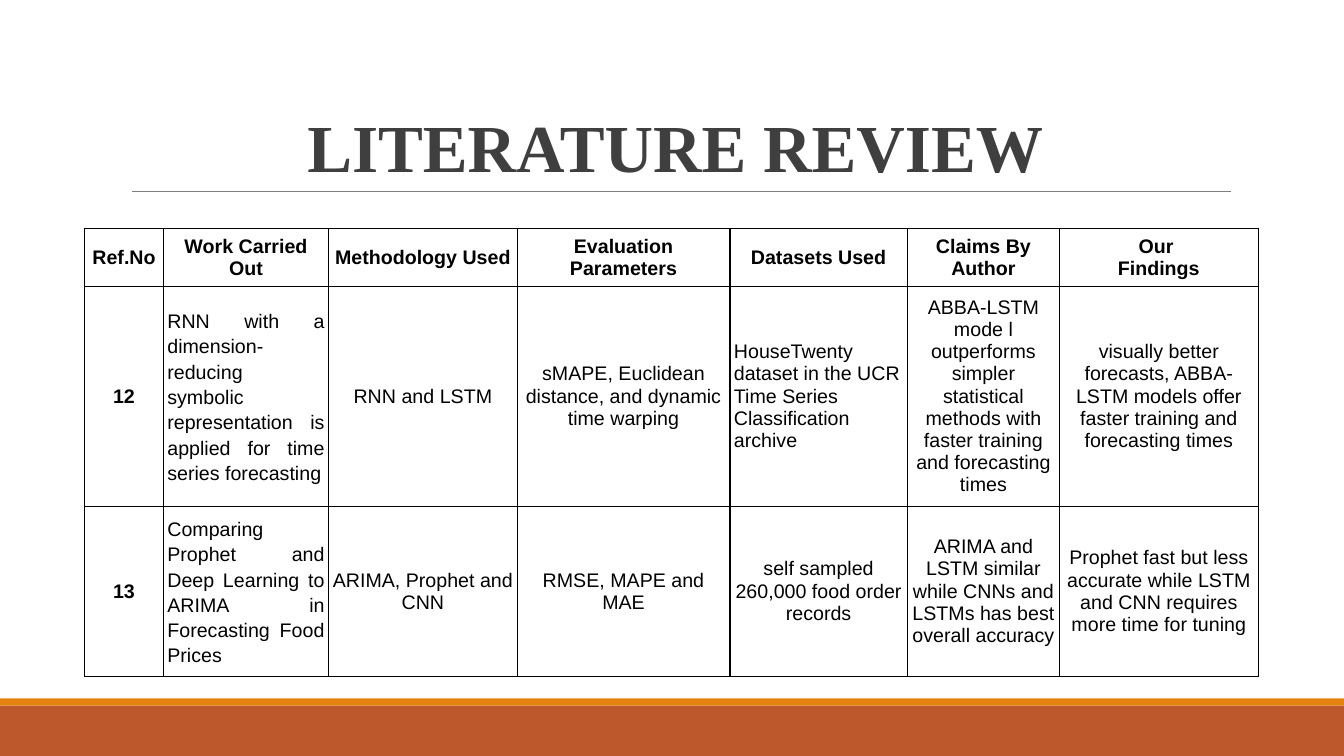
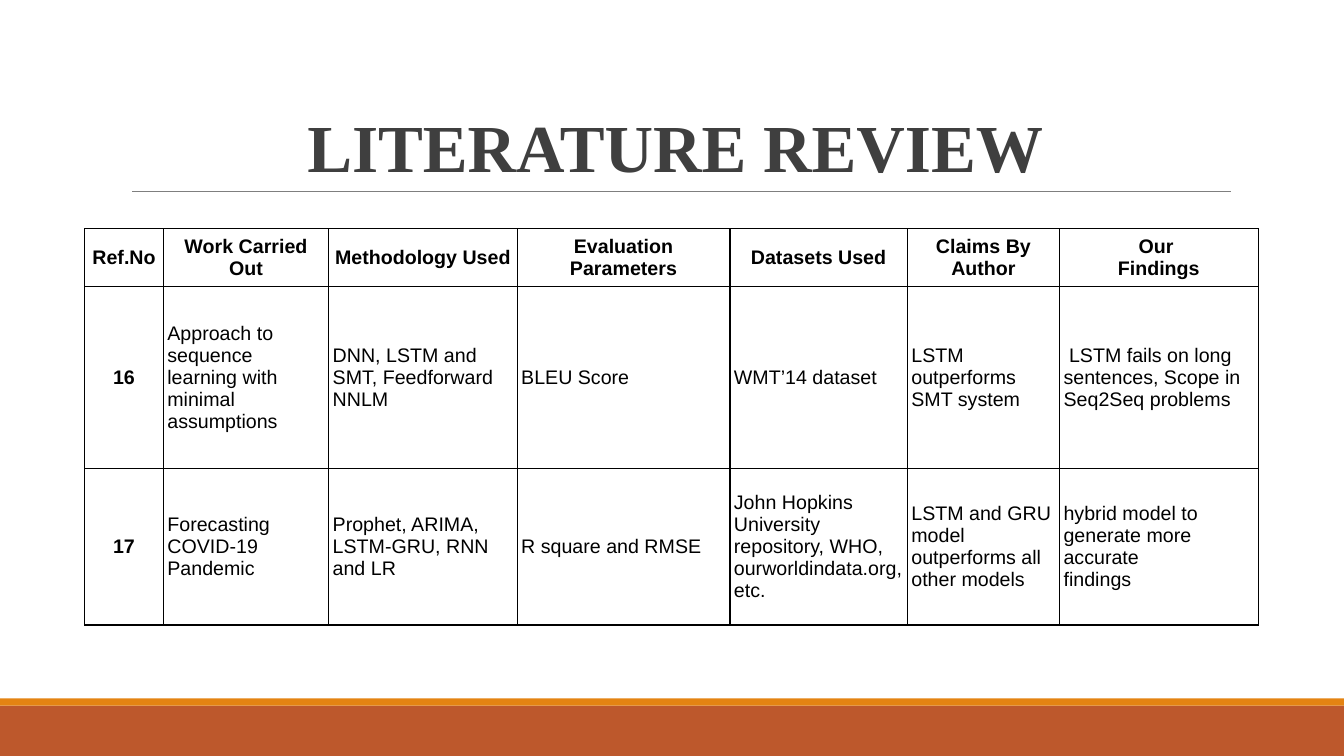
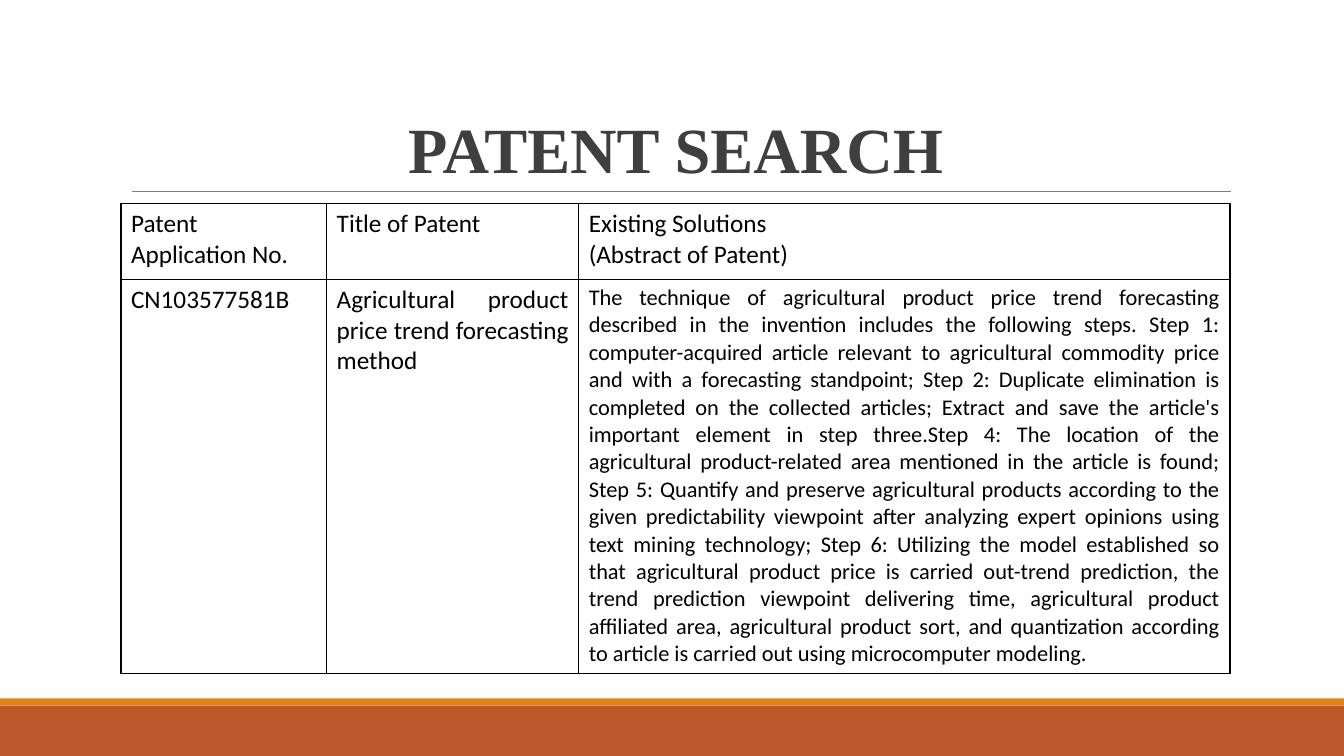
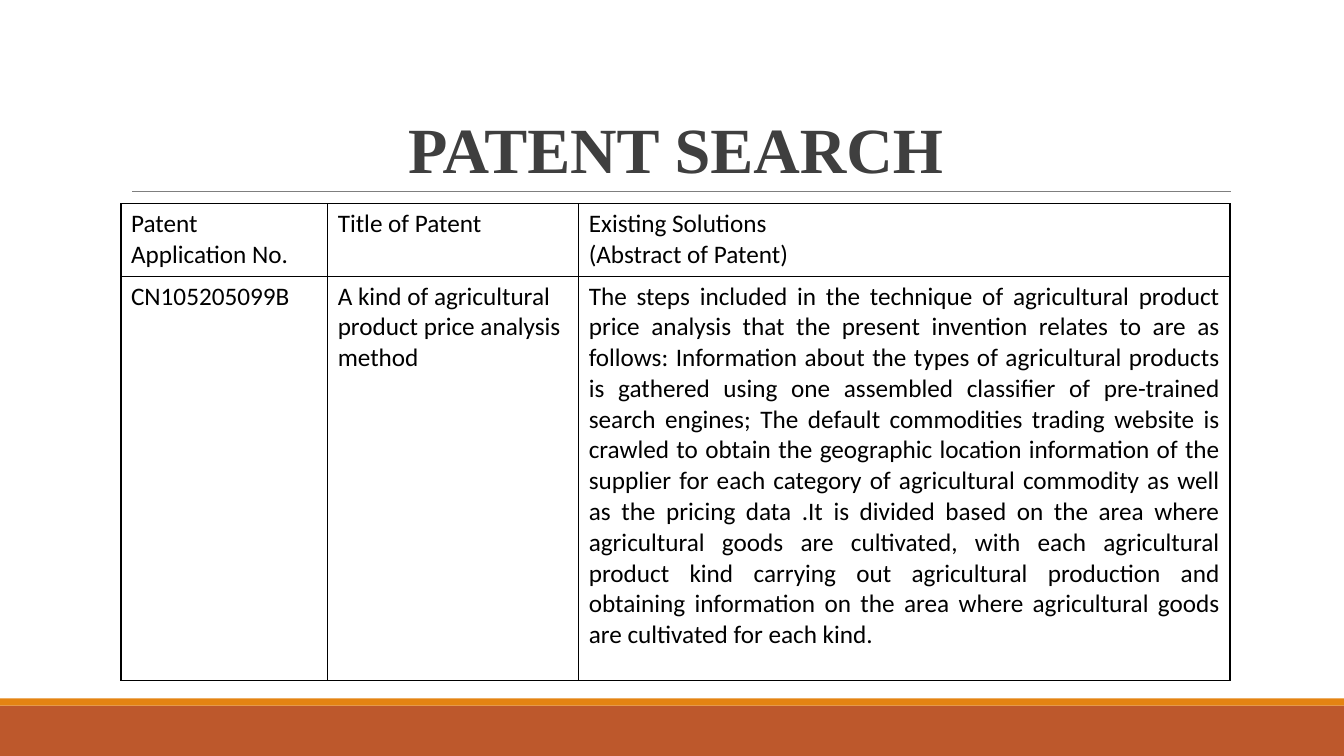
from lxml import etree
from pptx import Presentation
from pptx.dml.color import RGBColor
from pptx.enum.shapes import MSO_CONNECTOR, MSO_SHAPE
from pptx.enum.text import MSO_ANCHOR, PP_ALIGN
from pptx.oxml.ns import qn
from pptx.util import Emu, Pt

PX = 9144  # 100 px to the inch
SLIDE_W, SLIDE_H = 1333, 750
COLORS = {"footer": "BD582C", "stripe": "E48312", "rule": "7F7F7F",
          "title": "3F3F3F", "text": "000000"}
ALIGN = {"l": PP_ALIGN.LEFT, "c": PP_ALIGN.CENTER, "j": PP_ALIGN.JUSTIFY}
TOP, MIDDLE, BOTTOM = MSO_ANCHOR.TOP, MSO_ANCHOR.MIDDLE, MSO_ANCHOR.BOTTOM
RECTANGLE, STRAIGHT = MSO_SHAPE.RECTANGLE, MSO_CONNECTOR.STRAIGHT

LITERATURE = {
    "title": "LITERATURE REVIEW", "title_size": 48,
    "left": 84, "top": 227, "margins": (4, 4), "anchor": MIDDLE,
    "font": "Arial", "size": 14, "bold_labels": True, "justified_spacing": 1.15,
    "header": ["Ref.No", "Work Carried Out", "Methodology Used",
               "Evaluation Parameters", "Datasets Used", "Claims By Author",
               "Our \nFindings"],
    "header_aligns": "ccccccc",
    "cols": [78, 164, 187, 211, 176, 151, 197],
}
PATENT = {
    "title": "PATENT SEARCH", "title_size": 46,
    "left": 120, "top": 202, "margins": (10, 5), "anchor": TOP,
    "font": "Calibri", "size": 18, "bold_labels": False, "justified_spacing": 1,
    "header": ["Patent\nApplication No.", "Title of Patent",
               "Existing Solutions\n(Abstract of Patent)"],
    "header_aligns": "lll",
}
TREND_STEPS = [
    "The technique of agricultural product price trend forecasting described "
    "in the invention includes the following steps.",
    "Step 1: computer-acquired article relevant to agricultural commodity "
    "price and with a forecasting standpoint;",
    "Step 2: Duplicate elimination is completed on the collected articles;",
    "Extract and save the article's important element in step three.Step 4: "
    "The location of the agricultural product-related area mentioned in the "
    "article is found;",
    "Step 5: Quantify and preserve agricultural products according to the "
    "given predictability viewpoint after analyzing expert opinions using "
    "text mining technology;",
    "Step 6: Utilizing the model established so that agricultural product "
    "price is carried out-trend prediction, the trend prediction viewpoint "
    "delivering time, agricultural product affiliated area, agricultural "
    "product sort, and quantization according to article is carried out "
    "using microcomputer modeling.",
]

# Each body row: one alignment letter per column, then the cell texts.
SLIDES = [
    {**LITERATURE, "heights": [57, 204, 159], "body": [
        ("cjcclcc", [
            "12",
            "RNN with a dimension-reducing symbolic representation is applied "
            "for time series forecasting",
            "RNN and LSTM",
            "sMAPE, Euclidean distance, and dynamic time warping",
            "HouseTwenty dataset in the UCR Time Series Classification archive",
            "ABBA-LSTM mode l outperforms simpler statistical methods with "
            "faster training and forecasting times",
            "visually better forecasts, ABBA-LSTM models offer faster training "
            "and forecasting times"]),
        ("cjccccc", [
            "13",
            "Comparing Prophet and Deep Learning to ARIMA in Forecasting Food Prices",
            "ARIMA, Prophet and CNN",
            "RMSE, MAPE and MAE",
            "self sampled 260,000 food order records",
            "ARIMA and LSTM similar while CNNs and LSTMs has best overall accuracy",
            "Prophet fast but less accurate while LSTM and CNN requires more "
            "time for tuning"]),
    ]},
    {**LITERATURE, "heights": [57, 181, 155], "body": [
        ("cllllll", [
            "16",
            "Approach to sequence learning with minimal assumptions",
            "DNN, LSTM and SMT, Feedforward NNLM",
            "BLEU Score",
            "WMT’14 dataset",
            "LSTM outperforms SMT system",
            " LSTM fails on long sentences, Scope in Seq2Seq problems"]),
        ("cllllll", [
            "17",
            "Forecasting COVID-19 Pandemic",
            "Prophet, ARIMA, LSTM-GRU, RNN and LR",
            "R square and RMSE",
            "John Hopkins University repository, WHO, ourworldindata.org, etc.",
            "LSTM and GRU model outperforms all other models",
            "hybrid model to generate more accurate\nfindings"]),
    ]},
    {**PATENT, "cols": [204, 250, 646], "heights": [75, 391], "last_size": 16, "body": [
        ("ljj", [
            "CN103577581B",
            "Agricultural product price trend forecasting method",
            " ".join(TREND_STEPS)]),
    ]},
    {**PATENT, "cols": [205, 249, 646], "heights": [72, 401], "body": [
        ("llj", [
            "CN105205099B",
            "A kind of agricultural product price analysis method",
            "The steps included in the technique of agricultural product price "
            "analysis that the present invention relates to are as follows: "
            "Information about the types of agricultural products is gathered "
            "using one assembled classifier of pre-trained search engines; The "
            "default commodities trading website is crawled to obtain the "
            "geographic location information of the supplier for each category of "
            "agricultural commodity as well as the pricing data .It is divided "
            "based on the area where agricultural goods are cultivated, with each "
            "agricultural product kind carrying out agricultural production and "
            "obtaining information on the area where agricultural goods are "
            "cultivated for each kind."]),
    ]},
]


def px(*lengths):
    return [Emu(length * PX) for length in lengths]


def rgb(name):
    return RGBColor.from_string(COLORS[name])


def write(frame, text, *, font, size, color="text", bold=False, align="l", spacing=1):
    """Fill a text frame, one paragraph per line of text."""
    for index, line in enumerate(text.split("\n")):
        paragraph = frame.add_paragraph() if index else frame.paragraphs[0]
        paragraph.alignment = ALIGN[align]
        paragraph.line_spacing = spacing
        run = paragraph.add_run()
        run.text = line
        run.font.name, run.font.size, run.font.bold = font, Pt(size), bold
        run.font.color.rgb = rgb(color)


def add_band(slide, top, height, color):
    band = slide.shapes.add_shape(RECTANGLE, *px(0, top, SLIDE_W, height))
    band.shadow.inherit = False
    band.fill.solid()
    band.fill.fore_color.rgb = rgb(color)
    band.line.fill.background()


def add_frame(slide, title, size):
    """Add what every slide shares: footer bands, title and title rule."""
    add_band(slide, 700, 50, "footer")
    add_band(slide, 693, 7, "stripe")
    rule = slide.shapes.add_connector(STRAIGHT, *px(131, 190, 1221, 190))
    rule.line.color.rgb = rgb("rule")
    rule.line.width = Pt(0.75)
    etree.SubElement(rule._element.spPr, qn("a:effectLst"))
    frame = slide.shapes.add_textbox(*px(120, 31, 1100, 159)).text_frame
    frame.word_wrap = True
    frame.vertical_anchor = BOTTOM
    write(frame, title, font="Times New Roman", size=size, color="title",
          bold=True, align="c", spacing=0.85)


def add_borders(cell):
    properties = cell._tc.get_or_add_tcPr()
    for side in ("a:lnL", "a:lnR", "a:lnT", "a:lnB"):
        border = etree.SubElement(properties, qn(side), w=str(Pt(1)))
        fill = etree.SubElement(border, qn("a:solidFill"))
        etree.SubElement(fill, qn("a:srgbClr"), val=COLORS["text"])


def add_grid(slide, spec):
    cols, heights = spec["cols"], spec["heights"]
    table = slide.shapes.add_table(
        len(heights), len(cols),
        *px(spec["left"], spec["top"], sum(cols), sum(heights))).table
    table.first_row = table.horz_banding = False
    for column, width in zip(table.columns, px(*cols)):
        column.width = width
    for row, height in zip(table.rows, px(*heights)):
        row.height = height

    side, edge = px(*spec["margins"])
    rows = [(spec["header_aligns"], spec["header"])] + spec["body"]
    for r, (aligns, texts) in enumerate(rows):
        for c, (align, text) in enumerate(zip(aligns, texts)):
            cell = table.cell(r, c)
            add_borders(cell)
            cell.fill.background()
            cell.margin_left = cell.margin_right = side
            cell.margin_top = cell.margin_bottom = edge
            cell.vertical_anchor = spec["anchor"]
            is_last = r > 0 and c == len(cols) - 1
            write(cell.text_frame, text, font=spec["font"], align=align,
                  size=spec.get("last_size", spec["size"]) if is_last else spec["size"],
                  bold=spec["bold_labels"] and (r == 0 or c == 0),
                  spacing=spec["justified_spacing"] if align == "j" else 1)


def main():
    deck = Presentation()
    deck.slide_width, deck.slide_height = px(SLIDE_W, SLIDE_H)
    blank = deck.slide_layouts[6]
    for slide_spec in SLIDES:
        slide = deck.slides.add_slide(blank)
        add_frame(slide, slide_spec["title"], slide_spec["title_size"])
        add_grid(slide, slide_spec)
    deck.save("out.pptx")


if __name__ == "__main__":
    main()
